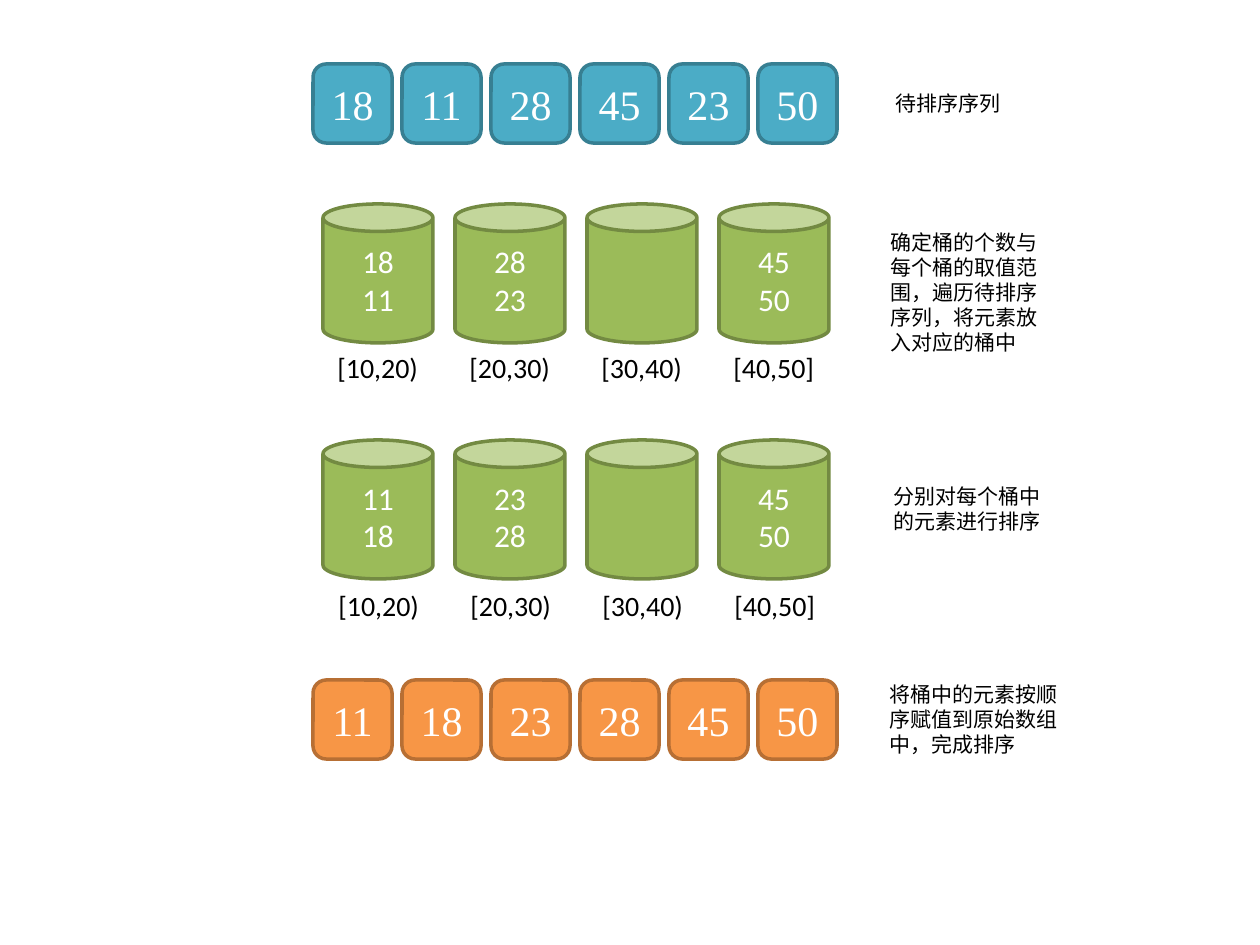
from lxml.etree import SubElement
from pptx import Presentation
from pptx.dml.color import RGBColor
from pptx.enum.shapes import MSO_SHAPE
from pptx.enum.text import MSO_ANCHOR, MSO_AUTO_SIZE, PP_ALIGN
from pptx.oxml.ns import qn
from pptx.util import Emu, Pt

WHITE = RGBColor(0xFF, 0xFF, 0xFF)
BLACK = RGBColor(0x00, 0x00, 0x00)
TEAL = RGBColor(0x4B, 0xAC, 0xC6)
DARK_TEAL = RGBColor(0x37, 0x7F, 0x92)
ORANGE = RGBColor(0xF7, 0x96, 0x46)
DARK_ORANGE = RGBColor(0xB7, 0x6F, 0x34)
GREEN = RGBColor(0x9B, 0xBB, 0x59)
DARK_GREEN = RGBColor(0x73, 0x8A, 0x42)

PX_PER_INCH = 126
TILE_LEFT, TILE_STEP, TILE_SIZE = 313, 89, 79
BUCKET_LEFT, BUCKET_STEP, BUCKET_WIDTH, BUCKET_HEIGHT = 323, 132, 110, 139
RANGES = ["[10,20)", "[20,30)", "[30,40)", "[40,50]"]


def px(length):
    return Emu(round(length * 914400 / PX_PER_INCH))


class BucketSortSlide:
    FONTS = {
        "tile": ({"name": "Times New Roman", "size": Pt(24)}, WHITE),
        "bucket": ({"name": "Calibri", "size": Pt(18)}, WHITE),
        "range": ({"name": "Calibri", "size": Pt(16)}, BLACK),
        "caption": ({"name": "Noto Sans CJK JP", "size": Pt(12)}, BLACK),
    }

    def __init__(self, deck):
        self.page = deck.slides.add_slide(deck.slide_layouts[6])

    def add_lines(self, frame, lines, style, align):
        values, color = self.FONTS[style]
        for index, line in enumerate(lines):
            para = frame.add_paragraph() if index else frame.paragraphs[0]
            para.alignment = align
            span = para.add_run()
            span.text = line
            for name, value in values.items():
                setattr(span.font, name, value)
            span.font.color.rgb = color
            east_asian = SubElement(span._r.get_or_add_rPr(), qn("a:ea"))
            east_asian.set("typeface", values["name"])

    def shape(self, kind, area, colors, lines, style):
        shape = self.page.shapes.add_shape(kind, *map(px, area))
        shape.shadow.inherit = False
        fill, line = colors
        shape.fill.solid()
        shape.fill.fore_color.rgb = fill
        shape.line.color.rgb = line
        shape.line.width = Pt(2)
        shape.text_frame.vertical_anchor = MSO_ANCHOR.MIDDLE
        self.add_lines(shape.text_frame, lines, style, PP_ALIGN.CENTER)

    def text(self, area, text, style, wrap):
        box = self.page.shapes.add_textbox(*map(px, area))
        settings = {"word_wrap": wrap, "auto_size": MSO_AUTO_SIZE.SHAPE_TO_FIT_TEXT}
        for name, value in settings.items():
            setattr(box.text_frame, name, value)
        self.add_lines(box.text_frame, [text], style, PP_ALIGN.LEFT)

    def tiles(self, top, numbers, colors):
        for index, number in enumerate(numbers):
            area = (TILE_LEFT + index * TILE_STEP, top, TILE_SIZE, TILE_SIZE)
            self.shape(MSO_SHAPE.ROUNDED_RECTANGLE, area, colors, [str(number)], "tile")

    def buckets(self, top, label_left, label_top, contents):
        for index, (numbers, label) in enumerate(zip(contents, RANGES)):
            offset = index * BUCKET_STEP
            area = (BUCKET_LEFT + offset, top, BUCKET_WIDTH, BUCKET_HEIGHT)
            lines = [str(number) for number in numbers]
            self.shape(MSO_SHAPE.CAN, area, (GREEN, DARK_GREEN), lines, "bucket")
            self.text((label_left + offset, label_top, 107, 47), label, "range", False)

    def caption(self, left, top, width, height, text):
        self.text((left, top, width, height), text, "caption", True)


def main():
    deck = Presentation()
    deck.slide_width, deck.slide_height = px(1260), px(945)
    slide = BucketSortSlide(deck)

    slide.tiles(64, [18, 11, 28, 45, 23, 50], (TEAL, DARK_TEAL))
    slide.caption(883, 84, 179, 38, "待排序序列")

    slide.buckets(204, 325, 344, [[18, 11], [28, 23], [], [45, 50]])
    slide.caption(878, 223, 179, 140, "确定桶的个数与每个桶的取值范围，遍历待排序序列，将元素放入对应的桶中")

    slide.buckets(440, 326, 582, [[11, 18], [23, 28], [], [45, 50]])
    slide.caption(881, 477, 179, 63, "分别对每个桶中的元素进行排序")

    slide.tiles(680, [11, 18, 23, 28, 45, 50], (ORANGE, DARK_ORANGE))
    slide.caption(877, 675, 200, 89, "将桶中的元素按顺序赋值到原始数组中，完成排序")

    deck.save("out.pptx")


if __name__ == "__main__":
    main()
